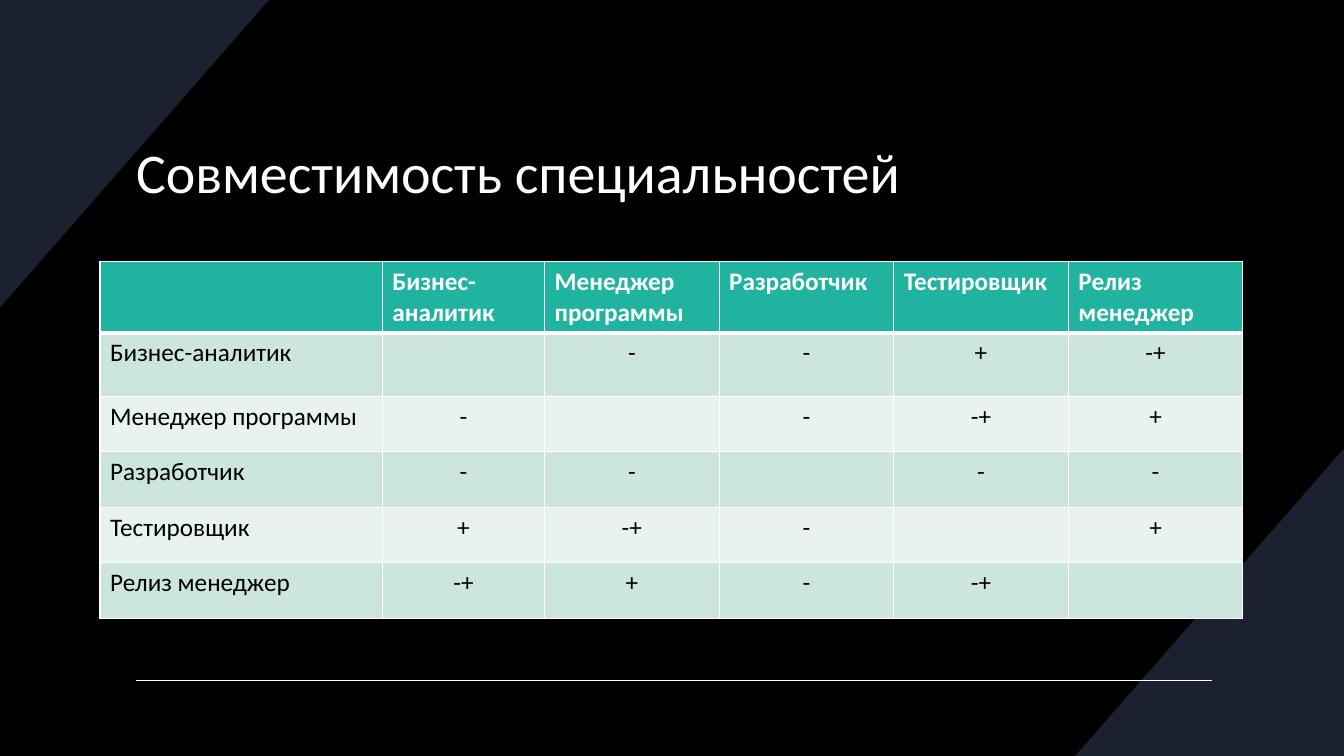
from lxml import etree
from pptx import Presentation
from pptx.dml.color import RGBColor
from pptx.enum.shapes import MSO_CONNECTOR
from pptx.enum.text import MSO_ANCHOR, PP_ALIGN
from pptx.oxml.ns import qn
from pptx.util import Pt

LINE = MSO_CONNECTOR.STRAIGHT
LEFT, MID = PP_ALIGN.LEFT, PP_ALIGN.CENTER
CENTER = MSO_ANCHOR.MIDDLE
WIDE, HIGH = 960, 540

THEME = {
    "back": RGBColor.from_string("000000"),
    "corner": RGBColor.from_string("1B212F"),
    "white": RGBColor.from_string("FFFFFF"),
    "head": RGBColor.from_string("20B4A0"),
    "bands": [RGBColor.from_string("E8F2F0"), RGBColor.from_string("CDE5DF")],
    "ink": RGBColor.from_string("000000"),
    "font": "Calibri",
    "big": Pt(40),
    "body": Pt(18),
}


def style(para, align, color, **form):
    para.alignment = align
    for key, val in {"name": THEME["font"], **form}.items():
        setattr(para.font, key, val)
    para.font.color.rgb = color


def border(cell, side, width):
    edge = etree.SubElement(cell._tc.get_or_add_tcPr(), qn("a:ln" + side), w=str(Pt(width)))
    fill = etree.SubElement(edge, qn("a:solidFill"))
    etree.SubElement(fill, qn("a:srgbClr"), val=str(THEME["white"]))


deck = Presentation()
deck.slide_width, deck.slide_height = Pt(WIDE), Pt(HIGH)
slide = deck.slides.add_slide(deck.slide_layouts[5])
slide.background.fill.solid()
slide.background.fill.fore_color.rgb = THEME["back"]

run, rise = 192, 219.6
corners = [
    [(WIDE, HIGH - rise), (WIDE, HIGH), (WIDE - run, HIGH)],
    [(0, rise), (0, 0), (run, 0)],
]
for first, *rest in corners:
    pen = slide.shapes.build_freeform(Pt(first[0]), Pt(first[1]), scale=1.0)
    pen.add_line_segments([(Pt(x), Pt(y)) for x, y in rest], close=True)
    corner = pen.convert_to_shape()
    corner.shadow.inherit = False
    corner.fill.solid()
    corner.fill.fore_color.rgb = THEME["corner"]
    corner.line.fill.background()

rule = slide.shapes.add_connector(LINE, Pt(97.2), Pt(486), Pt(865.4), Pt(486))
rule.line.color.rgb = THEME["white"]
rule.line.width = Pt(1)
etree.SubElement(rule.element.spPr, qn("a:effectLst"))

title = slide.shapes.title
rule.element.addnext(title.element)
place = {"left": 90, "top": 68.4, "width": 780, "height": 107.3}
for key, val in place.items():
    setattr(title, key, Pt(val))
title.text_frame.text = "Совместимость специальностей"
title.text_frame.vertical_anchor = CENTER
style(title.text_frame.paragraphs[0], LEFT, THEME["white"], size=THEME["big"], bold=False)

roles = ["Бизнес-аналитик", "Менеджер программы", "Разработчик", "Тестировщик", "Релиз менеджер"]
marks = [
    ["", "-", "-", "+", "-+"],
    ["-", "", "-", "-+", "+"],
    ["-", "-", "", "-", "-"],
    ["+", "-+", "-", "", "+"],
    ["-+", "+", "-", "-+", ""],
]
rows = [["", *roles]] + [[role, *line] for role, line in zip(roles, marks)]
widths = [201.6, 115.9] + [124.7] * 4
heights = [39.6, 45.4] + [39.6] * 4

frame = slide.shapes.add_table(
    len(rows), len(widths), Pt(71.5), Pt(186.6), Pt(sum(widths)), Pt(sum(heights))
)
grid = frame.table
for col, width in zip(grid.columns, widths):
    col.width = Pt(width)
for row, height in zip(grid.rows, heights):
    row.height = Pt(height)

for r, line in enumerate(rows):
    for c, text in enumerate(line):
        cell = grid.cell(r, c)
        head = r == 0
        edges = {"L": 1, "R": 1, "T": 3 if r == 1 else 1, "B": 3 if head else 1}
        for side, width in edges.items():
            border(cell, side, width)
        cell.fill.solid()
        cell.fill.fore_color.rgb = THEME["head"] if head else THEME["bands"][r % 2]
        cell.text = text
        align = LEFT if head or c == 0 else MID
        color = THEME["white"] if head else THEME["ink"]
        style(cell.text_frame.paragraphs[0], align, color, size=THEME["body"], bold=head)

deck.save("out.pptx")
